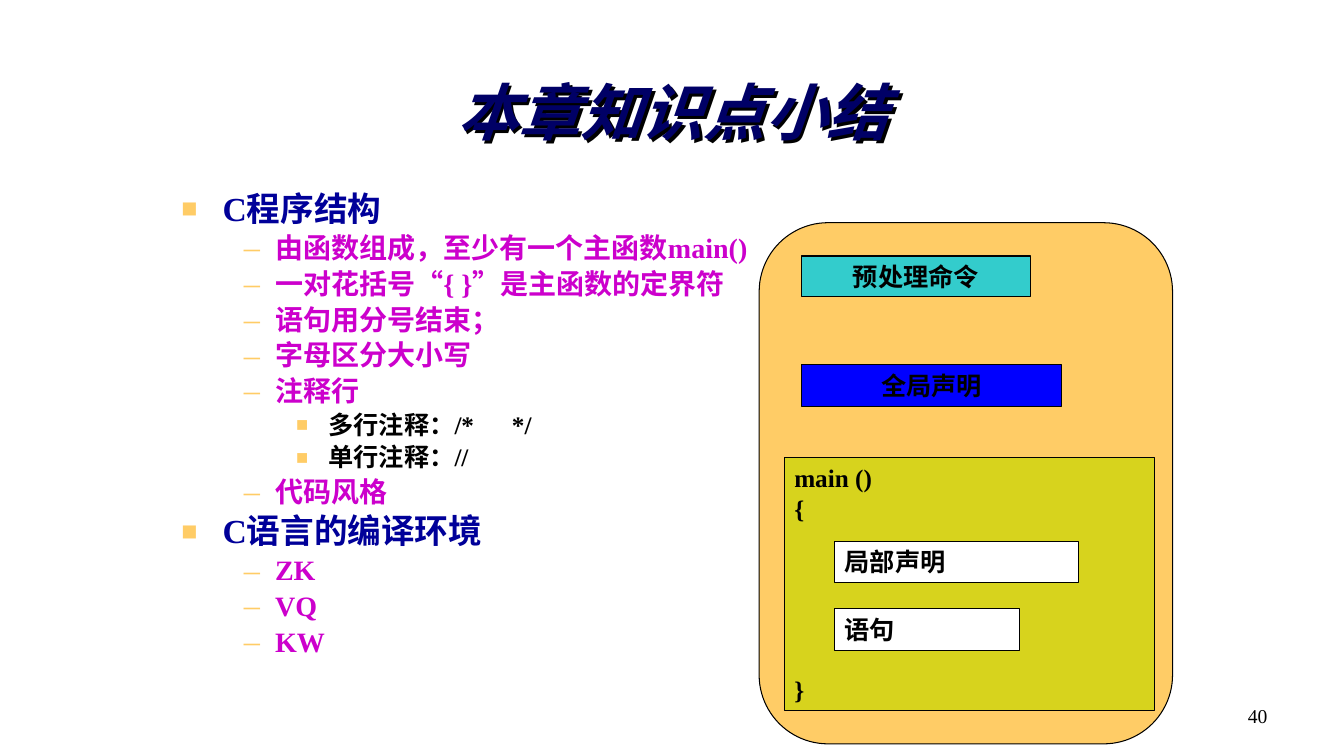
"""Build the chapter summary slide on C program structure."""
from dataclasses import dataclass

from lxml import etree
from pptx import Presentation
from pptx import util as u
from pptx.dml.color import RGBColor
from pptx.enum import shapes, text
from pptx.oxml.ns import qn

EMU_PER_PX = 9144
FONT = "Times New Roman"
BLACK = "000000"
AMBER = "FFCC66"
LEFT, CENTER, RIGHT = text.PP_ALIGN.LEFT, text.PP_ALIGN.CENTER, text.PP_ALIGN.RIGHT


@dataclass(frozen=True)
class Level:
    size: int
    color: str
    margin: int
    hanging: int
    bullet: str
    bullet_percent: int


@dataclass(frozen=True)
class Point:
    level: int
    words: str
    ending: str = ""


@dataclass(frozen=True)
class Box:
    left: int
    top: int
    width: int
    height: int
    fill: str
    lines: tuple = ()
    align: text.PP_ALIGN = LEFT
    last_line_gap: int = 0
    preset: shapes.MSO_SHAPE = shapes.MSO_SHAPE.RECTANGLE


LEVELS = (
    Level(24, "000099", 41, 41, "■", 80),
    Level(20, "CC00CC", 93, 31, "–", 115),
    Level(18, BLACK, 146, 32, "■", 80),
)

POINTS = (
    Point(0, "C程序结构"),
    Point(1, "由函数组成，至少有一个主函数main()"),
    Point(1, "一对花括号“{ }”是主函数的定界符"),
    Point(1, "语句用分号结束；"),
    Point(1, "字母区分大小写"),
    Point(1, "注释行"),
    Point(2, "多行注释：/*", "*/"),
    Point(2, "单行注释：//"),
    Point(1, "代码风格"),
    Point(0, "C语言的编译环境"),
    Point(1, "ZK"),
    Point(1, "VQ"),
    Point(1, "KW"),
)

BOXES = (
    Box(753, 221, 410, 517, AMBER, preset=shapes.MSO_SHAPE.ROUNDED_RECTANGLE),
    Box(795, 254, 227, 40, "33CCCC", ("预处理命令",), CENTER),
    Box(778, 454, 367, 251, "D7D31D", ("main ()", "{", "}"), last_line_gap=108),
    Box(828, 604, 183, 41, "FFFFFF", ("语句",)),
    Box(795, 362, 258, 41, "0000FF", ("全局声明",), CENTER),
    Box(828, 537, 242, 41, "FFFFFF", ("局部声明",)),
)


def px(length: int) -> u.Emu:
    """Turn slide pixels into EMU."""
    return u.Emu(length * EMU_PER_PX)


def rgb(color: str) -> RGBColor:
    """Turn a hex string into a colour."""
    return RGBColor.from_string(color)


def style(paragraph, size: int, color: str, bold: bool = True) -> None:
    """Set the font of a whole paragraph."""
    font = paragraph.font
    font.name, font.size, font.bold = FONT, u.Pt(size), bold
    font.color.rgb = rgb(color)


def nested(parent, *tags: tuple) -> None:
    """Append a chain of nested elements, each given as tag and attributes."""
    for tag, attributes in tags:
        parent = etree.SubElement(parent, qn(tag), attributes)


def add_title(slide) -> None:
    """Place and format the slide title with its shadow."""
    title = slide.shapes.title
    title.left, title.top, title.width, title.height = map(px, (99, 70, 1137, 92))
    frame = title.text_frame
    frame.text = "本章知识点小结"
    frame.vertical_anchor = text.MSO_ANCHOR.MIDDLE
    paragraph = frame.paragraphs[0]
    paragraph.alignment = CENTER
    paragraph.line_spacing = 0.85
    style(paragraph, 44, "000066")
    paragraph.font.italic = True
    title.fill.background()
    nested(
        title._element.spPr,
        ("a:effectLst", {}),
        ("a:outerShdw", {"dist": "35921", "dir": "2700000"}),
        ("a:srgbClr", {"val": BLACK}),
    )


def add_page_number(slide) -> None:
    """Write the page number at the lower right."""
    frame = slide.shapes.add_textbox(*map(px, (956, 693, 311, 52))).text_frame
    frame.word_wrap = True
    frame.text = "40"
    frame.paragraphs[0].alignment = RIGHT
    style(frame.paragraphs[0], 14, BLACK, bold=False)


def add_point(paragraph, point: Point) -> None:
    """Write one bulleted line of the outline."""
    level = LEVELS[point.level]
    paragraph.level = point.level
    paragraph.line_spacing = 0.9
    properties = paragraph._p.get_or_add_pPr()
    properties.set("marL", str(px(level.margin)))
    properties.set("indent", str(-px(level.hanging)))
    nested(properties, ("a:spcBef", {}), ("a:spcPct", {"val": "20000"}))
    nested(properties, ("a:buClr", {}), ("a:srgbClr", {"val": AMBER}))
    nested(properties, ("a:buSzPct", {"val": str(level.bullet_percent * 1000)}))
    nested(properties, ("a:buFont", {"typeface": FONT}))
    nested(properties, ("a:buChar", {"char": level.bullet}))
    style(paragraph, level.size, level.color)
    paragraph.add_run().text = point.words
    if point.ending:
        gap = paragraph.add_run()
        gap.text = " "
        gap.font._element.set("spc", "2250")
        paragraph.add_run().text = point.ending


def add_outline(slide) -> None:
    """Write the bulleted outline."""
    frame = slide.shapes.add_textbox(*map(px, (170, 186, 850, 504))).text_frame
    frame.word_wrap = True
    for index, point in enumerate(POINTS):
        add_point(frame.add_paragraph() if index else frame.paragraphs[0], point)


def add_box(slide, box: Box) -> None:
    """Draw one box of the program diagram."""
    area = map(px, (box.left, box.top, box.width, box.height))
    shape = slide.shapes.add_shape(box.preset, *area)
    shape.shadow.inherit = False
    shape.fill.solid()
    shape.fill.fore_color.rgb = rgb(box.fill)
    shape.line.color.rgb = rgb(BLACK)
    shape.line.width = u.Pt(0.75)
    if not box.lines:
        return
    frame = shape.text_frame
    frame.word_wrap = True
    frame.vertical_anchor = text.MSO_ANCHOR.TOP
    frame.text = "\n".join(box.lines)
    for paragraph in frame.paragraphs:
        paragraph.alignment = box.align
        style(paragraph, 18, BLACK)
    if box.last_line_gap:
        frame.paragraphs[-1].space_before = u.Pt(box.last_line_gap)


def main() -> None:
    """Build and save the presentation."""
    presentation = Presentation()
    presentation.slide_width, presentation.slide_height = px(1333), px(750)
    slide = presentation.slides.add_slide(presentation.slide_layouts[5])
    add_title(slide)
    add_page_number(slide)
    add_outline(slide)
    for box in BOXES:
        add_box(slide, box)
    presentation.save("out.pptx")


if __name__ == "__main__":
    main()
